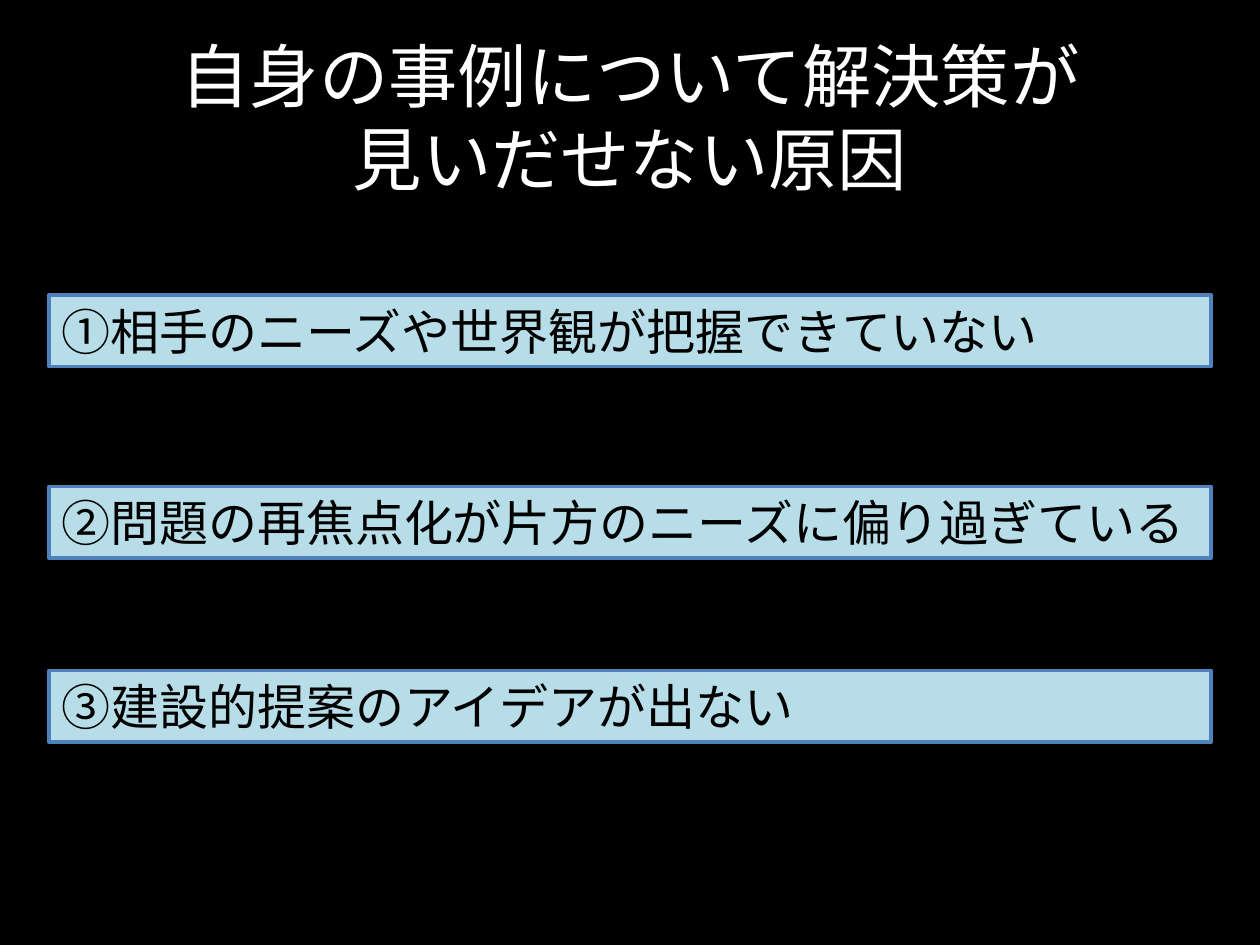
from dataclasses import dataclass

from pptx import Presentation
from pptx.dml.color import RGBColor
from pptx.enum.shapes import MSO_SHAPE
from pptx.enum.text import MSO_ANCHOR, MSO_AUTO_SIZE, PP_ALIGN
from pptx.util import Inches, Pt


@dataclass(frozen=True)
class Theme:
    """Hold the colours, type sizes and font of the slide."""
    background: RGBColor = RGBColor.from_string("000000")
    title_ink: RGBColor = RGBColor.from_string("FFFFFF")
    cause_ink: RGBColor = RGBColor.from_string("000000")
    cause_fill: RGBColor = RGBColor.from_string("B7DEE8")
    cause_line: RGBColor = RGBColor.from_string("4F81BD")
    font: str = "Calibri"
    title_size: float = 39.6
    cause_size: float = 28
    line_width: float = 2


THEME = Theme()
COLUMNS, ROWS = 100, 75
WIDTH, HEIGHT = Inches(10), Inches(7.5)
TITLE = "自身の事例について解決策が\v見いだせない原因"
CAUSES = {
    23.4: "①相手のニーズや世界観が把握できていない",
    38.6: "②問題の再焦点化が片方のニーズに偏り過ぎている",
    53.2: "③建設的提案のアイデアが出ない",
}


def grid_box(column, row, columns, rows):
    """Turn grid columns and rows into left, top, width and height."""
    return (
        round(WIDTH * column / COLUMNS),
        round(HEIGHT * row / ROWS),
        round(WIDTH * columns / COLUMNS),
        round(HEIGHT * rows / ROWS),
    )


def write_text(shape, text, size, ink, align, anchor):
    """Write one wrapped paragraph in the given style."""
    frame = shape.text_frame
    frame.word_wrap = True
    frame.vertical_anchor = anchor
    para = frame.paragraphs[0]
    para.text = text
    para.alignment = align
    para.font.name = THEME.font
    para.font.size = Pt(size)
    para.font.color.rgb = ink


def add_title(page, box, text):
    """Place the centred title in its box."""
    title = page.shapes.add_textbox(*box)
    write_text(title, text, THEME.title_size, THEME.title_ink,
               PP_ALIGN.CENTER, MSO_ANCHOR.MIDDLE)


def add_cause(page, box, text):
    """Place one outlined bar naming a cause."""
    bar = page.shapes.add_shape(MSO_SHAPE.RECTANGLE, *box)
    bar.shadow.inherit = False
    bar.fill.solid()
    bar.fill.fore_color.rgb = THEME.cause_fill
    bar.line.color.rgb = THEME.cause_line
    bar.line.width = Pt(THEME.line_width)
    write_text(bar, text, THEME.cause_size, THEME.cause_ink,
               PP_ALIGN.LEFT, MSO_ANCHOR.TOP)
    bar.text_frame.auto_size = MSO_AUTO_SIZE.SHAPE_TO_FIT_TEXT


def main():
    """Build the slide and save the deck."""
    deck = Presentation()
    deck.slide_width, deck.slide_height = WIDTH, HEIGHT
    page = deck.slides.add_slide(deck.slide_layouts[6])
    page.background.fill.solid()
    page.background.fill.fore_color.rgb = THEME.background
    add_title(page, grid_box(5, 3, 90, 12.5), TITLE)
    for row, text in CAUSES.items():
        add_cause(page, grid_box(3.9, row, 92.2, 5.7), text)
    deck.save("out.pptx")


if __name__ == "__main__":
    main()
